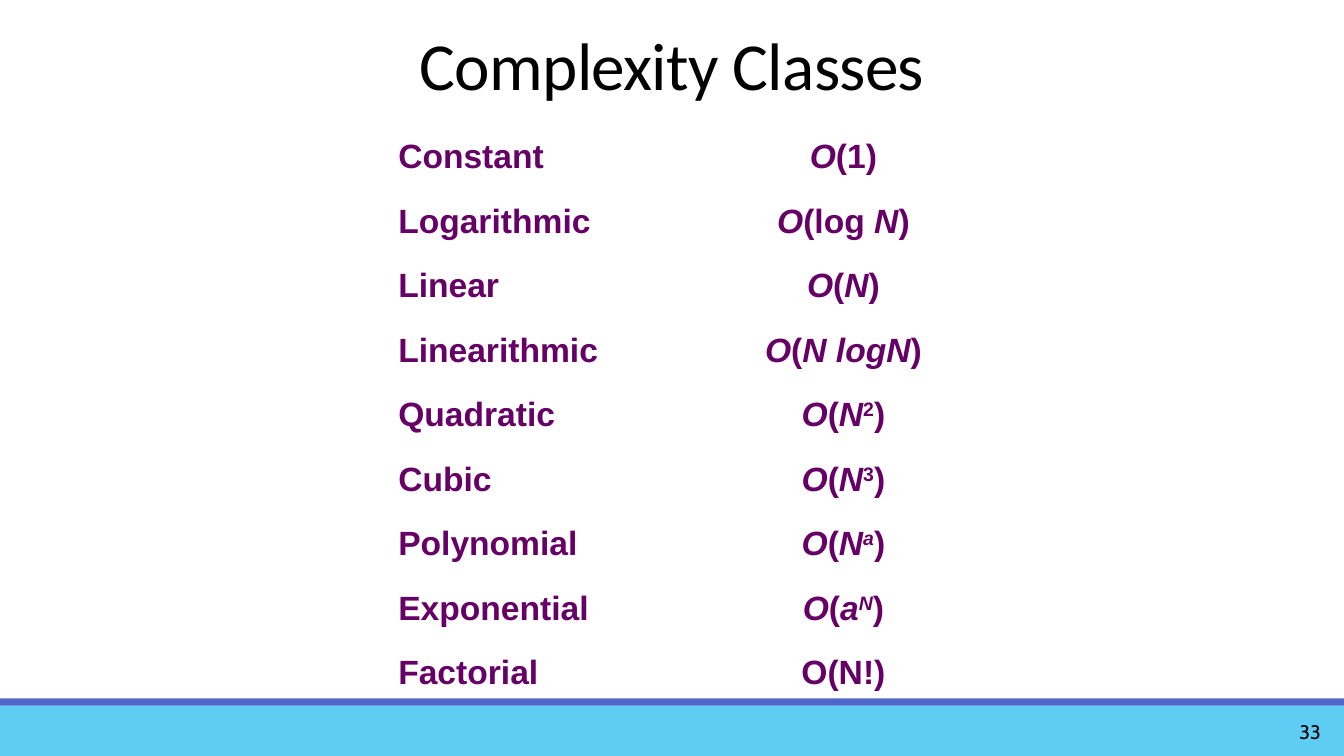
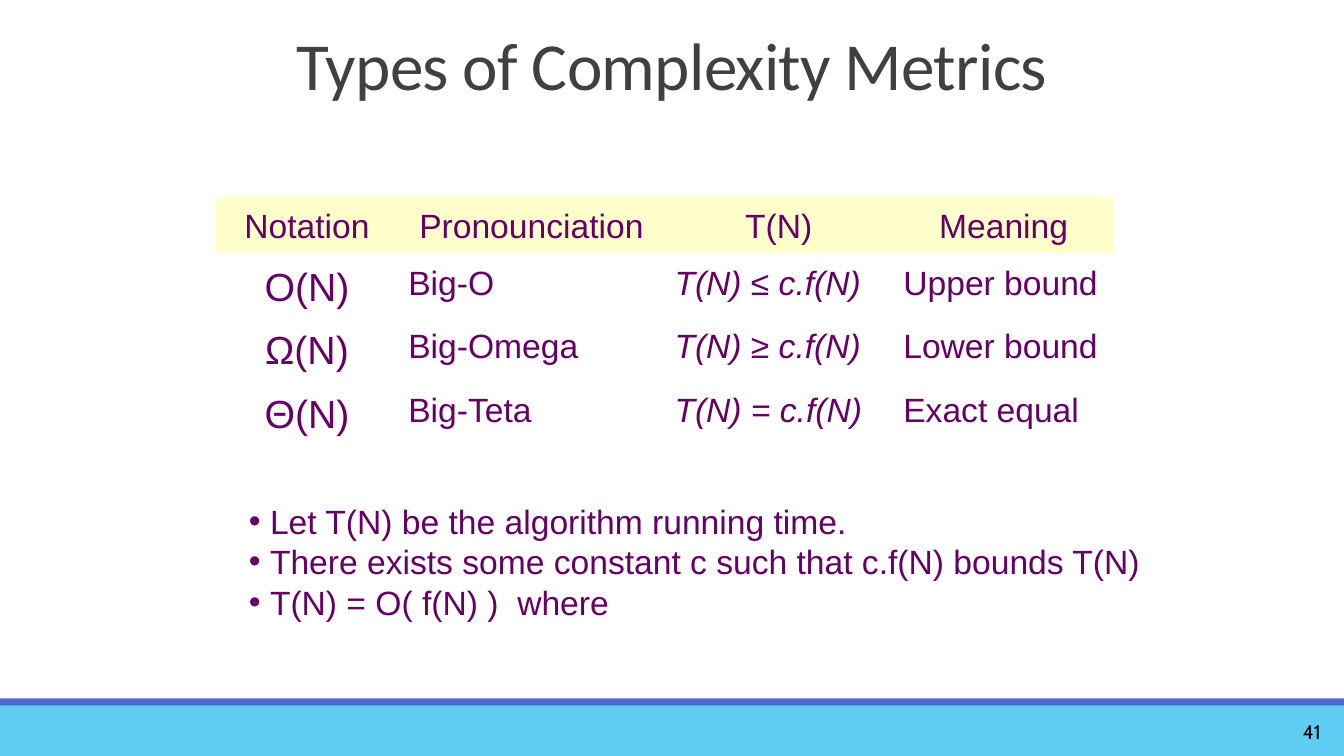
import pptx
import pptx.util
import pptx.dml.color
import pptx.enum.shapes
import pptx.enum.text
import pptx.oxml.ns
from lxml import etree

Inches = pptx.util.Inches
Pt = pptx.util.Pt
RGBColor = pptx.dml.color.RGBColor
ALIGN = pptx.enum.text.PP_ALIGN
ANCHOR = pptx.enum.text.MSO_ANCHOR

BLACK = RGBColor(0x00, 0x00, 0x00)
CHARCOAL = RGBColor(0x40, 0x40, 0x40)
PURPLE = RGBColor(0x66, 0x00, 0x66)
CREAM = RGBColor(0xFF, 0xFF, 0xCC)
SKY = RGBColor(0x5E, 0xCC, 0xF3)
INDIGO = RGBColor(0x4E, 0x67, 0xC8)

WIDTH, HEIGHT = 13.33, 7.5
BODY = {"name": "Arial", "size": Pt(24), "bold": False}
STRONG = {**BODY, "bold": True}
SYMBOL = {**BODY, "size": Pt(28)}
SLANTED = {**BODY, "italic": True}
TITLE = {"name": "Calibri", "size": Pt(48)}
NUMBER = {"name": "Cabin", "size": Pt(14)}
PLAIN, ITALIC, POWER, ITALIC_POWER = (
    (False, False), (True, False), (False, True), (True, True))


def assign(target, values):
    for name, value in values.items():
        setattr(target, name, value)


def add_element(parent, tag, **attributes):
    return etree.SubElement(parent, pptx.oxml.ns.qn(tag), attributes)


class Slides:
    def __init__(self):
        self.deck = pptx.Presentation()
        self.deck.slide_width = Inches(WIDTH)
        self.deck.slide_height = Inches(HEIGHT)
        self.page = None

    def start(self, title, number, title_color):
        self.page = self.deck.slides.add_slide(self.deck.slide_layouts[6])
        self.band(7, 0.5, SKY)
        self.band(6.93, 0.07, INDIGO)
        frame = self.text_box(11.77, 7.06, 1.43, 0.4, ANCHOR.MIDDLE)
        para = frame.paragraphs[0]
        para.alignment = ALIGN.RIGHT
        self.span(para, str(number), NUMBER, BLACK)
        frame = self.text_box(0, 0, WIDTH, 1.08, ANCHOR.BOTTOM)
        para = frame.paragraphs[0]
        assign(para, {"alignment": ALIGN.CENTER, "line_spacing": 0.85})
        self.span(para, title, TITLE, title_color, spc="-50")

    def band(self, top, height, color):
        box = self.page.shapes.add_shape(
            pptx.enum.shapes.MSO_SHAPE.RECTANGLE,
            Inches(0), Inches(top), Inches(WIDTH), Inches(height))
        box.shadow.inherit = False
        box.fill.solid()
        box.fill.fore_color.rgb = color
        box.line.fill.background()

    def text_box(self, left, top, width, height, anchor=ANCHOR.TOP):
        box = self.page.shapes.add_textbox(
            Inches(left), Inches(top), Inches(width), Inches(height))
        assign(box.text_frame, {"word_wrap": True, "vertical_anchor": anchor})
        return box.text_frame

    def span(self, para, text, style, color=PURPLE, **extras):
        span = para.add_run()
        span.text = text
        assign(span.font, style)
        span.font.color.rgb = color
        for name, value in extras.items():
            span.font._element.set(name, value)

    def formula(self, para, parts, style):
        for text, (italic, raised) in parts:
            extras = {"baseline": "30000"} if raised else {}
            self.span(para, text, {**style, "italic": italic}, **extras)

    def table(self, left, top, columns, rows):
        frame = self.page.shapes.add_table(
            len(rows), len(columns), Inches(left), Inches(top),
            Inches(sum(columns)), Inches(sum(rows)))
        table = frame.table
        assign(table, {"first_row": False, "horz_banding": False})
        for column, width in zip(table.columns, columns):
            column.width = Inches(width)
        for row, height in zip(table.rows, rows):
            row.height = Inches(height)
        return table

    def cell(self, cell, align, anchor=ANCHOR.TOP, fill=None, margin_top=0.18):
        properties = cell._tc.get_or_add_tcPr()
        for side in ("a:lnL", "a:lnR", "a:lnT", "a:lnB"):
            add_element(add_element(properties, side), "a:noFill")
        assign(cell, {"margin_left": Inches(0.1), "margin_right": Inches(0.1),
                      "margin_top": Inches(margin_top),
                      "margin_bottom": Inches(0.05),
                      "vertical_anchor": anchor})
        if fill is None:
            cell.fill.background()
        else:
            cell.fill.solid()
            cell.fill.fore_color.rgb = fill
        para = cell.text_frame.paragraphs[0]
        assign(para, {"alignment": align, "line_spacing": 0.81})
        return para

    def bullets(self, left, top, width, height, lines):
        frame = self.text_box(left, top, width, height)
        indent = Inches(0.21)
        for index, line in enumerate(lines):
            para = frame.add_paragraph() if index else frame.paragraphs[0]
            properties = para._p.get_or_add_pPr()
            properties.set("marL", str(indent))
            properties.set("indent", str(-indent))
            add_element(properties, "a:buFont", typeface="Arial")
            add_element(properties, "a:buChar", char="•")
            self.span(para, line, BODY)


def complexity_classes(slides):
    slides.start("Complexity Classes", 33, BLACK)

    def order(*inner):
        return [("O", ITALIC), ("(", PLAIN), *inner, (")", PLAIN)]

    classes = [
        ("Constant", order(("1", PLAIN))),
        ("Logarithmic", order(("log ", PLAIN), ("N", ITALIC))),
        ("Linear", order(("N", ITALIC))),
        ("Linearithmic", order(("N logN", ITALIC))),
        ("Quadratic", order(("N", ITALIC), ("2", POWER))),
        ("Cubic", order(("N", ITALIC), ("3", POWER))),
        ("Polynomial", order(("N", ITALIC), ("a", ITALIC_POWER))),
        ("Exponential", order(("a", ITALIC), ("N", ITALIC_POWER))),
        ("Factorial", [("O(N!)", PLAIN)]),
    ]
    table = slides.table(3.85, 1.2, [3.4, 2.23], [0.64] * len(classes))
    for row, (name, growth) in enumerate(classes):
        para = slides.cell(table.cell(row, 0), ALIGN.LEFT, ANCHOR.MIDDLE)
        slides.span(para, name, STRONG)
        para = slides.cell(table.cell(row, 1), ALIGN.CENTER, ANCHOR.MIDDLE)
        slides.formula(para, growth, STRONG)


def complexity_metrics(slides):
    slides.start("Types of Complexity Metrics", 41, CHARCOAL)
    headings = ["Notation", "Pronounciation", "T(N)", "Meaning"]
    metrics = [
        ("O(N)", "Big-O", "T(N) ≤ c.f(N)", "Upper bound"),
        ("Ω(N)", "Big-Omega", "T(N) ≥ c.f(N)", "Lower bound"),
        ("Θ(N)", "Big-Teta", "T(N) = c.f(N)", "Exact equal"),
    ]
    table = slides.table(2.14, 1.95, [1.81, 2.64, 2.27, 2.19],
                         [0.56] + [0.63] * len(metrics))
    for column, heading in enumerate(headings):
        para = slides.cell(table.cell(0, column), ALIGN.CENTER, fill=CREAM)
        slides.span(para, heading, BODY)
    columns = [(SYMBOL, ALIGN.CENTER, 0.2), (BODY, ALIGN.LEFT, 0.18),
               (SLANTED, ALIGN.LEFT, 0.18), (BODY, ALIGN.LEFT, 0.18)]
    for row, metric in enumerate(metrics, 1):
        for column, (style, align, margin) in enumerate(columns):
            para = slides.cell(table.cell(row, column), align,
                               margin_top=margin)
            slides.span(para, metric[column], style)
    slides.bullets(2.37, 4.92, 9.06, 1.32, [
        "Let T(N) be the algorithm running time.",
        "There exists some constant c such that c.f(N) bounds T(N)",
        "T(N) = O( f(N) )  where",
    ])


def main():
    slides = Slides()
    complexity_classes(slides)
    complexity_metrics(slides)
    slides.deck.save("out.pptx")


if __name__ == "__main__":
    main()
